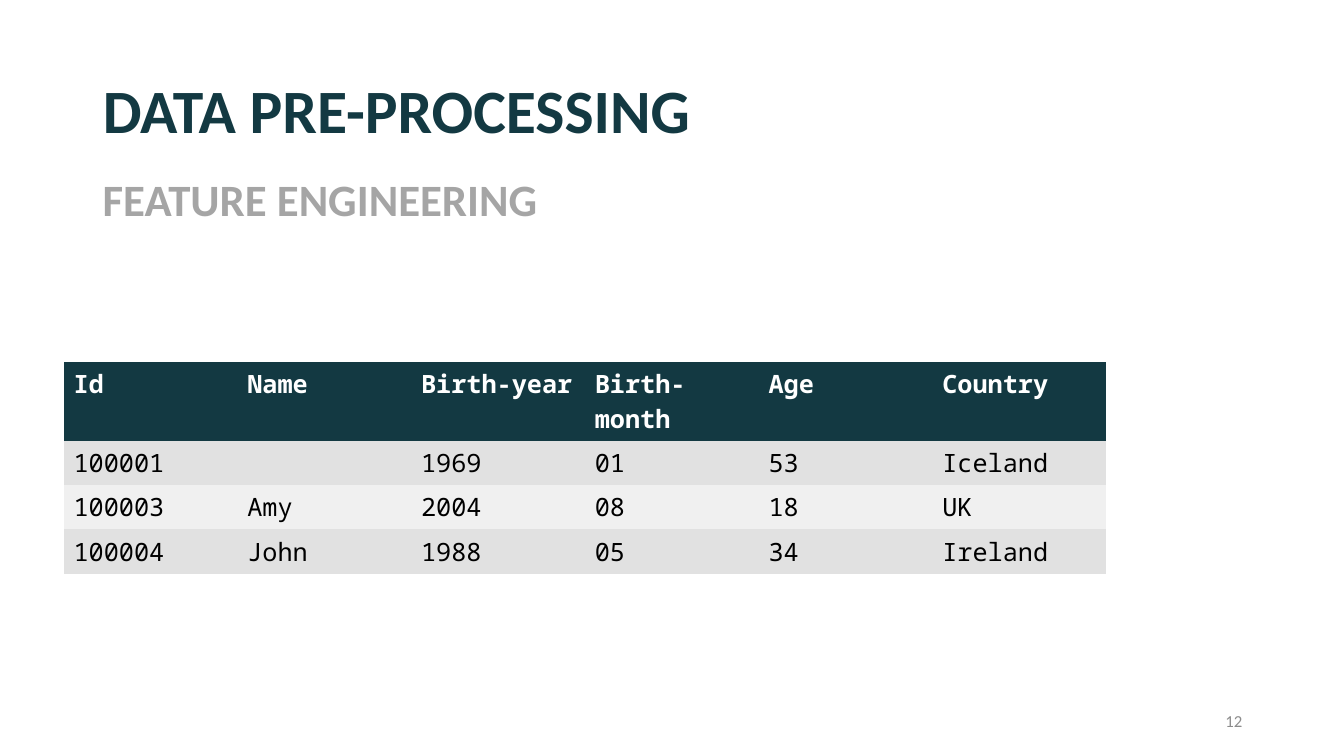
from dataclasses import dataclass

from pptx import Presentation
from pptx.dml.color import RGBColor
from pptx.enum.text import MSO_ANCHOR, MSO_AUTO_SIZE, PP_ALIGN
from pptx.oxml.ns import qn
from pptx.slide import Slide
from pptx.text.text import TextFrame, _Paragraph
from pptx.util import Inches, Pt

COLORS = {
    "navy": "133942",
    "gray": "A5A5A5",
    "number": "8C8C8C",
    "white": "FFFFFF",
    "black": "000000",
    "band_dark": "E1E1E1",
    "band_light": "F0F0F0",
}
NO_GRID_STYLE = "{2D5ABB26-0587-4C30-8999-92F81FD0307C}"
TABLE_WIDTH, ROW_HEIGHT = 10.34, 0.41
PEOPLE = [
    ["Id", "Name", "Birth-year", "Birth-month", "Age", "Country"],
    ["100001", "", "1969", "01", "53", "Iceland"],
    ["100003", "Amy", "2004", "08", "18", "UK"],
    ["100004", "John", "1988", "05", "34", "Ireland"],
]


@dataclass(frozen=True)
class TextStyle:
    size: int
    color: str
    bold: bool = False
    font: str = "Calibri"


@dataclass(frozen=True)
class Label:
    text: str
    left: float
    top: float
    width: float
    height: float
    style: TextStyle
    align: PP_ALIGN = PP_ALIGN.LEFT
    anchor: MSO_ANCHOR = MSO_ANCHOR.TOP


TITLE = Label("DATA PRE-PROCESSING", 0.92, 0.4, 11.5, 1.45,
              TextStyle(44, "navy", True), anchor=MSO_ANCHOR.MIDDLE)
LABELS = [
    Label("12", 9.42, 6.95, 3, 0.4, TextStyle(12, "number"),
          PP_ALIGN.RIGHT, MSO_ANCHOR.MIDDLE),
    Label("FEATURE ENGINEERING", 0.92, 1.65, 5.75, 0.64, TextStyle(32, "gray", True)),
]
HEADER_STYLE = TextStyle(18, "white", True, "Noto Sans Mono")
BODY_STYLE = TextStyle(18, "black", False, "Noto Sans Mono")


def add_run(paragraph: _Paragraph, text: str, style: TextStyle) -> None:
    run = paragraph.add_run()
    run.text = text
    run.font.name = style.font
    run.font.size = Pt(style.size)
    run.font.bold = style.bold
    run.font.color.rgb = RGBColor.from_string(COLORS[style.color])


def fill_frame(frame: TextFrame, label: Label) -> None:
    frame.word_wrap = True
    frame.auto_size = MSO_AUTO_SIZE.NONE
    frame.vertical_anchor = label.anchor
    paragraph = frame.paragraphs[0]
    paragraph.alignment = label.align
    add_run(paragraph, label.text, label.style)


def add_title(slide: Slide) -> None:
    title = slide.shapes.title
    title.left, title.top = Inches(TITLE.left), Inches(TITLE.top)
    title.width, title.height = Inches(TITLE.width), Inches(TITLE.height)
    fill_frame(title.text_frame, TITLE)
    title.text_frame.paragraphs[0].line_spacing = 0.9


def add_label(slide: Slide, label: Label) -> None:
    box = slide.shapes.add_textbox(Inches(label.left), Inches(label.top),
                                   Inches(label.width), Inches(label.height))
    fill_frame(box.text_frame, label)


def add_people_table(slide: Slide) -> None:
    table = slide.shapes.add_table(
        len(PEOPLE), len(PEOPLE[0]), Inches(0.63), Inches(3.59),
        Inches(TABLE_WIDTH), Inches(ROW_HEIGHT * len(PEOPLE))).table
    table._tbl.tblPr.find(qn("a:tableStyleId")).text = NO_GRID_STYLE
    for row_index, values in enumerate(PEOPLE):
        if row_index == 0:
            style, fill = HEADER_STYLE, "navy"
        else:
            style = BODY_STYLE
            fill = "band_dark" if row_index % 2 else "band_light"
        for column_index, value in enumerate(values):
            cell = table.cell(row_index, column_index)
            cell.fill.solid()
            cell.fill.fore_color.rgb = RGBColor.from_string(COLORS[fill])
            if value:
                add_run(cell.text_frame.paragraphs[0], value, style)


def main() -> None:
    presentation = Presentation()
    presentation.slide_width = Inches(13.33)
    presentation.slide_height = Inches(7.5)
    slide = presentation.slides.add_slide(presentation.slide_layouts[5])
    add_people_table(slide)
    add_title(slide)
    for label in LABELS:
        add_label(slide, label)
    presentation.save("out.pptx")


if __name__ == "__main__":
    main()
